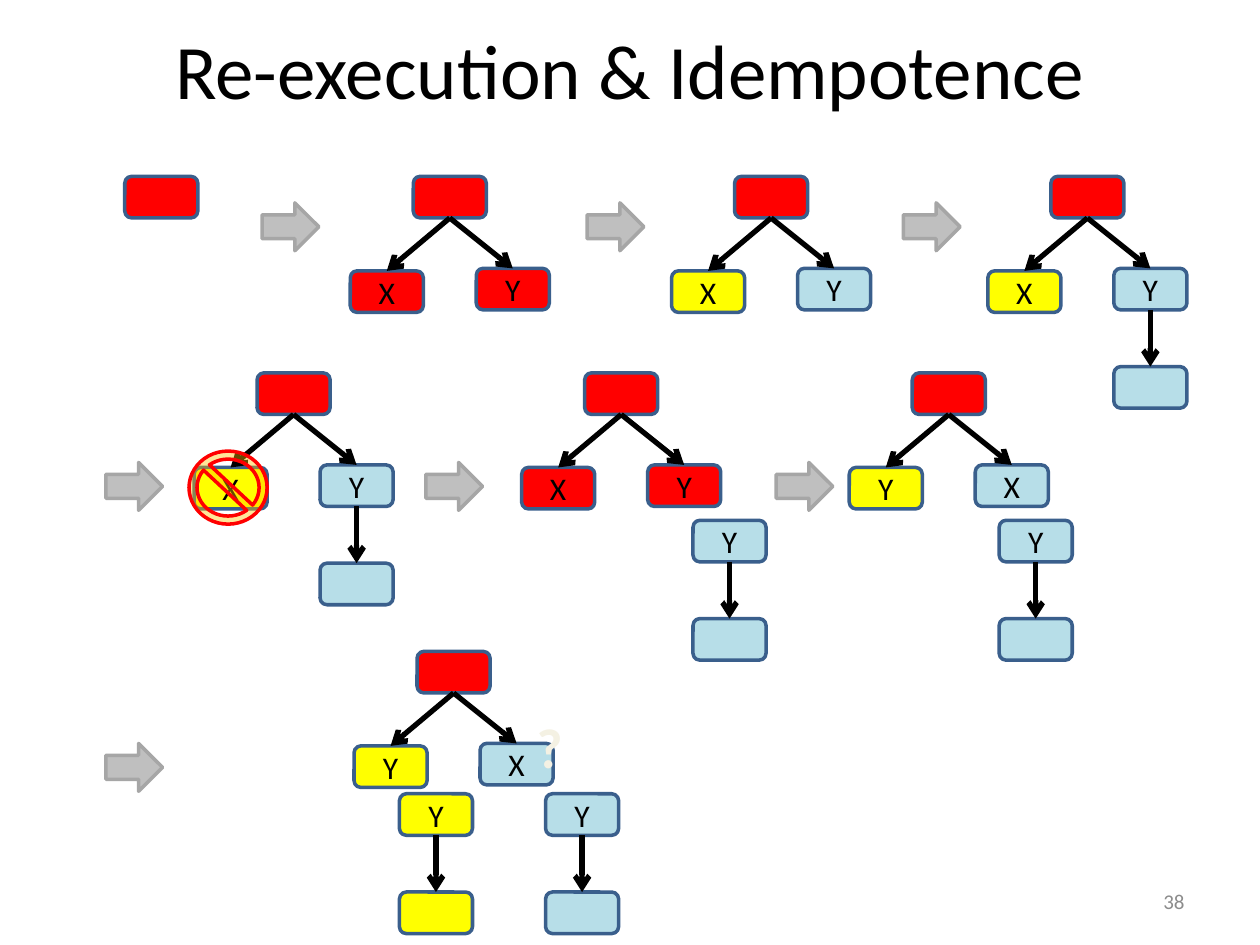
from lxml.etree import SubElement
from pptx import Presentation
from pptx.dml.color import RGBColor
from pptx.enum.shapes import MSO_CONNECTOR, MSO_SHAPE
from pptx.enum.text import MSO_ANCHOR, PP_ALIGN
from pptx.oxml.ns import qn
from pptx.util import Inches, Pt

COLORS = {
    "red": "FF0000", "yellow": "FFFF00", "blue": "B7DEE8", "border": "3A5F8C",
    "black": "000000", "arrow": "BFBFBF", "arrow_border": "A6A6A6",
    "orange": "FFC000", "number": "8C8C8C", "cream": "F4F1E3",
}
RGB = {name: RGBColor.from_string(value) for name, value in COLORS.items()}

prs = Presentation()
prs.slide_width, prs.slide_height = Inches(10), Inches(7.5)
s = prs.slides.add_slide(prs.slide_layouts[6])


def add_shape(kind, x, y, w, h, fill, line, text=""):
    sp = s.shapes.add_shape(kind, Inches(x), Inches(y), Inches(w), Inches(h))
    sp.shadow.inherit = False
    sp.fill.solid()
    sp.fill.fore_color.rgb = RGB[fill]
    sp.line.color.rgb = RGB[line]
    sp.line.width = Pt(2)
    if text:
        tf = sp.text_frame
        tf.vertical_anchor = MSO_ANCHOR.MIDDLE
        p = tf.paragraphs[0]
        p.text = text
        p.alignment = PP_ALIGN.CENTER
        p.font.name = "Calibri"
        p.font.size = Pt(18)
        p.font.color.rgb = RGB["black"]
    return sp


def add_link(parent, child):
    c = s.shapes.add_connector(MSO_CONNECTOR.STRAIGHT, 0, 0, 0, 0)
    c.begin_connect(parent, 2)
    c.end_connect(child, 0)
    c.line.color.rgb = RGB["black"]
    c.line.width = Pt(3)
    SubElement(c.line._get_or_add_ln(), qn("a:tailEnd"), type="arrow")
    SubElement(c._element.spPr, qn("a:effectLst"))


NODE = MSO_SHAPE.ROUNDED_RECTANGLE
NODE_W, NODE_H = 0.58, 0.33
ROWS = [1.4, 2.96, 5.17]

add_shape(NODE, 0.99, ROWS[0], NODE_W, NODE_H, "red", "border")

trees = [
    (3.28, ROWS[0], "X", "red", "Y", "red", False),
    (5.83, ROWS[0], "X", "yellow", "Y", "blue", False),
    (8.34, ROWS[0], "X", "yellow", "Y", "blue", True),
    (2.04, ROWS[1], "X", "yellow", "Y", "blue", True),
    (4.64, ROWS[1], "X", "red", "Y", "red", False),
    (7.24, ROWS[1], "Y", "yellow", "X", "blue", False),
    (3.31, ROWS[2], "Y", "yellow", "X", "blue", False),
]
chains = []
for x, y, left_text, left_fill, right_text, right_fill, has_chain in trees:
    root = add_shape(NODE, x, y, NODE_W, NODE_H, "red", "border")
    left = add_shape(NODE, x - 0.5, y + 0.75, NODE_W, NODE_H, left_fill, "border", left_text)
    right = add_shape(NODE, x + 0.5, y + 0.73, NODE_W, NODE_H, right_fill, "border", right_text)
    add_link(root, left)
    add_link(root, right)
    if has_chain:
        chains.append((right, x + 0.5, y + 0.73, right_fill))

detached = [
    (5.5, 4.13, "blue"), (7.93, 4.13, "blue"),
    (4.33, 6.3, "blue"), (3.17, 6.3, "yellow"),
]
for x, y, fill in detached:
    head = add_shape(NODE, x, y, NODE_W, NODE_H, fill, "border", "Y")
    chains.append((head, x, y, fill))

for head, x, y, fill in chains:
    add_link(head, add_shape(NODE, x, y + 0.78, NODE_W, NODE_H, fill, "border"))

steps = [
    (2.08, 1.61), (4.66, 1.61), (7.17, 1.61),
    (0.84, 3.67), (3.38, 3.67), (6.16, 3.67), (0.84, 5.9),
]
for x, y in steps:
    add_shape(MSO_SHAPE.RIGHT_ARROW, x, y, 0.45, 0.38, "arrow", "arrow_border")

failure = add_shape(MSO_SHAPE.NO_SYMBOL, 1.5, 3.58, 0.62, 0.58, "orange", "red")
failure.adjustments[0] = 0.11
fill_color = failure._element.spPr.find(qn("a:solidFill")).find(qn("a:srgbClr"))
SubElement(fill_color, qn("a:alpha"), val="40000")

labels = [
    ("Re-execution & Idempotence", 0.5, -0.08, 9, 1.25, 44, "black", False, PP_ALIGN.CENTER, MSO_ANCHOR.MIDDLE),
    ("38", 7.17, 6.95, 2.33, 0.4, 12, "number", False, PP_ALIGN.RIGHT, MSO_ANCHOR.MIDDLE),
    ("?", 4.16, 5.61, 0.42, 0.64, 32, "cream", True, PP_ALIGN.LEFT, MSO_ANCHOR.TOP),
]
for text, x, y, w, h, size, color, bold, align, anchor in labels:
    tf = s.shapes.add_textbox(Inches(x), Inches(y), Inches(w), Inches(h)).text_frame
    tf.word_wrap = True
    tf.vertical_anchor = anchor
    p = tf.paragraphs[0]
    p.text = text
    p.alignment = align
    p.font.name = "Calibri"
    p.font.size = Pt(size)
    p.font.bold = bold
    p.font.color.rgb = RGB[color]

prs.save("out.pptx")
